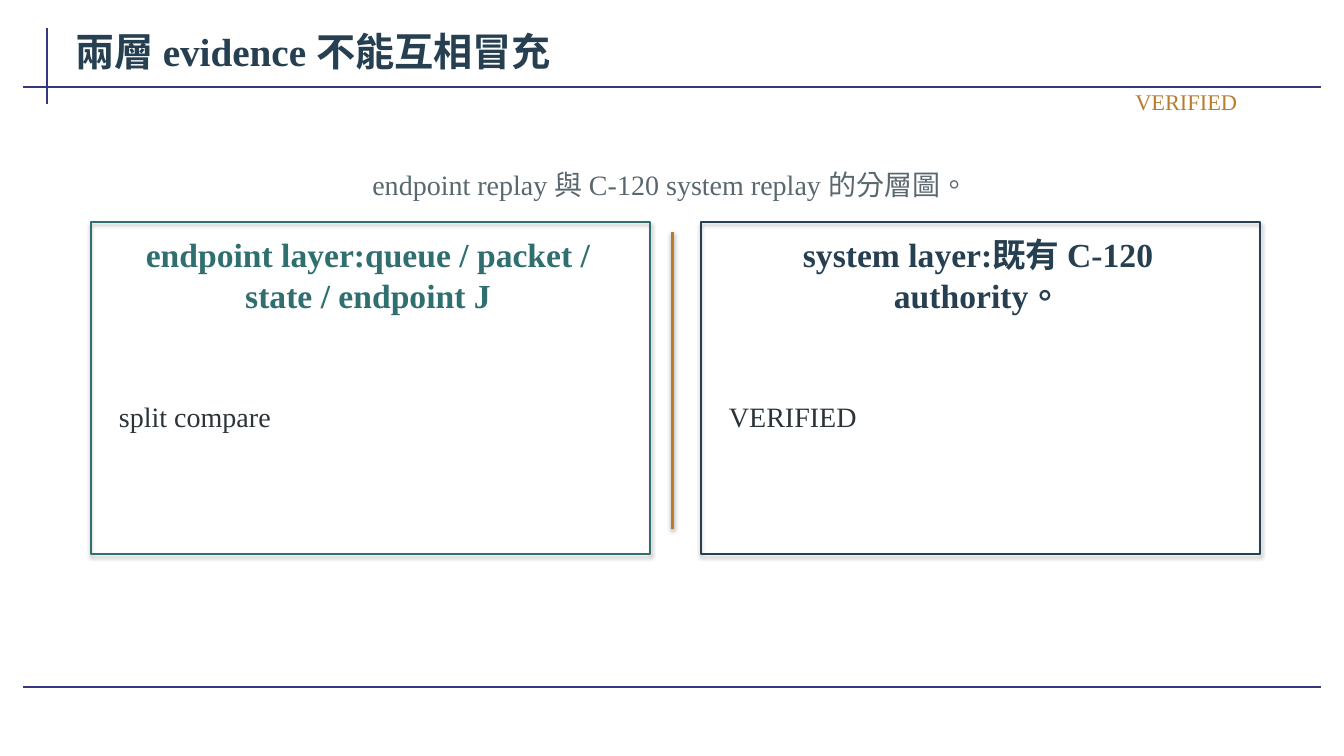
"""Build the slide that separates endpoint evidence from system evidence."""
import dataclasses

import lxml.etree
import pptx
import pptx.dml.color
import pptx.enum.lang
import pptx.enum.shapes
import pptx.enum.text
import pptx.oxml.ns
import pptx.util

Inches = pptx.util.Inches
Pt = pptx.util.Pt
Align = pptx.enum.text.PP_ALIGN


@dataclasses.dataclass(frozen=True)
class Theme:
    """Font, colours and type sizes."""
    font: str = "Times New Roman"
    rule: str = "35377F"
    navy: str = "263F51"
    teal: str = "2F6F70"
    amber: str = "B77D2D"
    grey: str = "59686F"
    ink: str = "2A343A"
    title: int = 28
    heading: int = 24
    body: int = 20
    tag: int = 16


class Canvas:
    """Draws styled elements on the current slide."""

    def __init__(self, s, theme):
        self.s = s
        self.theme = theme

    def effects(self, sp, alpha=None, dist=None):
        """Give a shape a soft downward shadow, or none."""
        qn = pptx.oxml.ns.qn
        effects = lxml.etree.SubElement(sp._element.spPr, qn("a:effectLst"))
        if alpha:
            shadow = lxml.etree.SubElement(
                effects, qn("a:outerShdw"), blurRad=str(Pt(3.1)),
                dist=str(Pt(dist)), dir="5400000", rotWithShape="0")
            black = lxml.etree.SubElement(shadow, qn("a:srgbClr"), val="000000")
            lxml.etree.SubElement(black, qn("a:alpha"), val=str(alpha * 1000))

    def stroke(self, sp, color, width):
        """Set the outline colour and width."""
        sp.line.color.rgb = pptx.dml.color.RGBColor.from_string(color)
        sp.line.width = Pt(width)

    def line(self, x1, y1, x2, y2, color, width=1.5, alpha=None, dist=None):
        """Draw a straight line."""
        sp = self.s.shapes.add_connector(
            pptx.enum.shapes.MSO_CONNECTOR.STRAIGHT,
            Inches(x1), Inches(y1), Inches(x2), Inches(y2))
        self.stroke(sp, color, width)
        self.effects(sp, alpha, dist)

    def frame(self, x, y, w, h, color):
        """Draw an unfilled rectangle with a shadow."""
        sp = self.s.shapes.add_shape(
            pptx.enum.shapes.MSO_SHAPE.RECTANGLE,
            Inches(x), Inches(y), Inches(w), Inches(h))
        sp.fill.background()
        self.stroke(sp, color, 1.2)
        self.effects(sp, 35, 1.8)

    def text(self, x, y, w, h, text, size, color, align=Align.LEFT, bold=False):
        """Place one paragraph in a vertically centred box."""
        sp = self.s.shapes.add_textbox(Inches(x), Inches(y), Inches(w), Inches(h))
        tf = sp.text_frame
        tf.word_wrap = True
        tf.vertical_anchor = pptx.enum.text.MSO_ANCHOR.MIDDLE
        tf.margin_left = tf.margin_right = Inches(0.08)
        tf.margin_top = tf.margin_bottom = Inches(0.04)
        tf.text = text
        p = tf.paragraphs[0]
        p.alignment = align
        for r in p.runs:
            r.font.name = self.theme.font
            r.font.size = Pt(size)
            r.font.bold = bold
            r.font.color.rgb = pptx.dml.color.RGBColor.from_string(color)
            r.font.language_id = pptx.enum.lang.MSO_LANGUAGE_ID.TRADITIONAL_CHINESE

    def panel(self, x, heading, body, color):
        """Draw one evidence layer: frame, heading and body."""
        t = self.theme
        self.frame(x, 2.2, 5.55, 3.3, color)
        self.text(x + 0.15, 2.4, 5.2, 0.65, heading, t.heading, color,
                  Align.CENTER, True)
        self.text(x + 0.2, 3.15, 5.1, 1.95, body, t.body, t.ink)


def main():
    """Compose and save the slide."""
    prs = pptx.Presentation()
    prs.slide_width, prs.slide_height = Inches(13.33), Inches(7.5)
    t = Theme()
    c = Canvas(prs.slides.add_slide(prs.slide_layouts[6]), t)

    c.line(0.47, 0.28, 0.47, 1.03, t.rule)
    for y in (0.86, 6.82):
        c.line(0.23, y, 13.1, y, t.rule)
    c.text(0.67, 0.19, 12, 0.63, "兩層 evidence 不能互相冒充", t.title, t.navy,
           bold=True)
    c.text(0.9, 1.55, 11.5, 0.55, "endpoint replay 與 C-120 system replay 的分層圖。",
           t.body, t.grey, Align.CENTER)
    c.panel(0.9, "endpoint layer:queue / packet / state / endpoint J",
            "split compare", t.teal)
    c.panel(6.95, "system layer:既有 C-120 authority。", "VERIFIED", t.navy)
    c.line(6.67, 2.3, 6.67, 5.25, t.amber, 1.8, 38, 1.6)
    c.text(9.15, 0.86, 3.2, 0.3, "VERIFIED", t.tag, t.amber, Align.RIGHT)
    prs.save("out.pptx")


if __name__ == "__main__":
    main()
